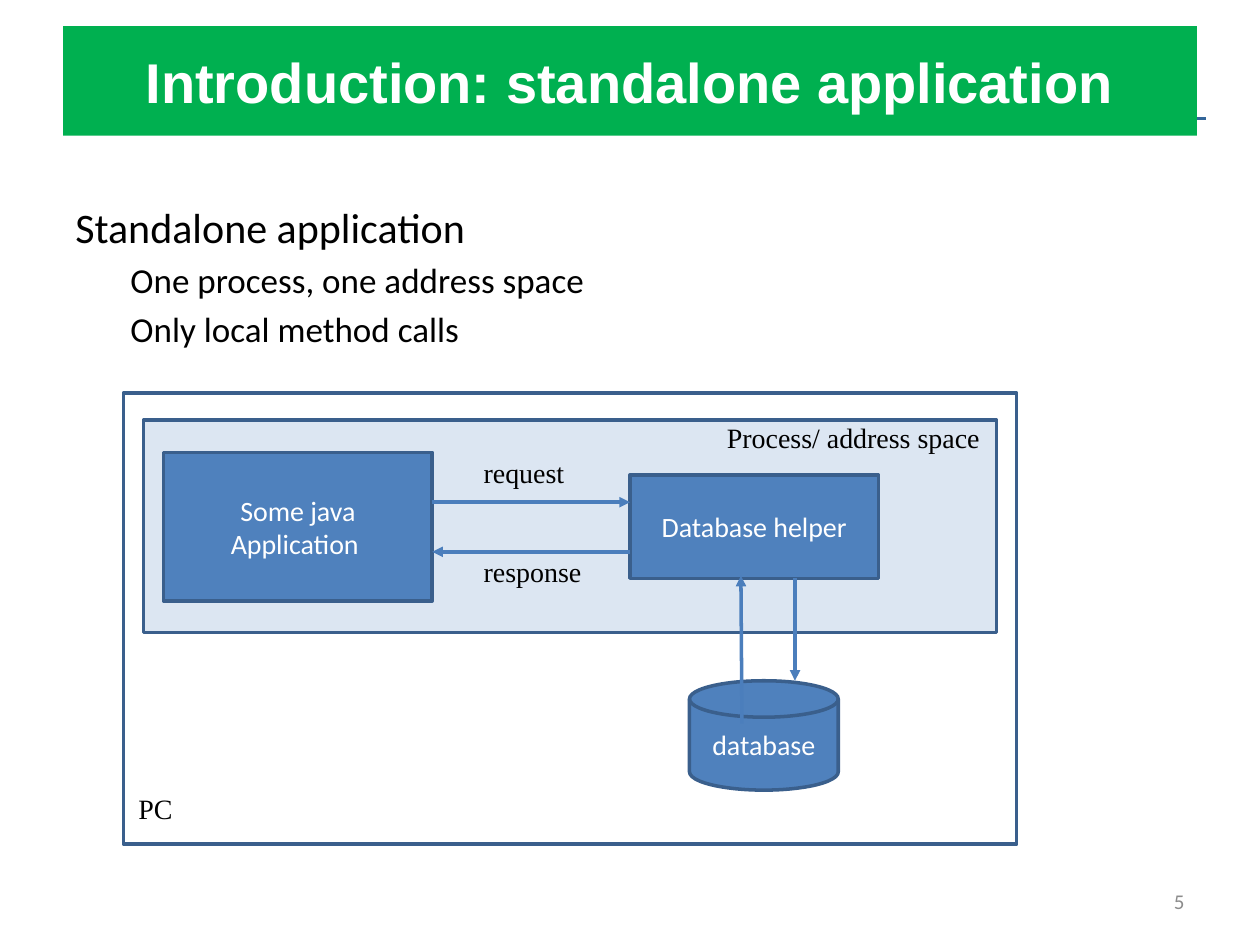
import pptx
import pptx.util
import pptx.dml.color
import pptx.enum.shapes
import pptx.enum.text
import lxml.etree

Pt = pptx.util.Pt
SHAPE = pptx.enum.shapes.MSO_SHAPE
ALIGN = pptx.enum.text.PP_ALIGN
ANCHOR = pptx.enum.text.MSO_ANCHOR
FIT = pptx.enum.text.MSO_AUTO_SIZE

COLORS = {
    "banner": "00B050",
    "rule": "336699",
    "process": "DCE6F2",
    "component": "4F81BD",
    "outline": "3A5F8C",
    "arrow": "4B7EBC",
    "white": "FFFFFF",
    "black": "000000",
    "number": "8C8C8C",
}


def rgb(name):
    """Return the named colour as an RGBColor."""
    return pptx.dml.color.RGBColor.from_string(COLORS[name])


def write(frame, lines, font="Calibri", size=16, color="black", bold=False,
          align=ALIGN.LEFT, anchor=ANCHOR.TOP, wrap=True):
    """Fill a text frame with one formatted paragraph per line."""
    frame.word_wrap = wrap
    frame.auto_size = FIT.NONE if wrap else FIT.SHAPE_TO_FIT_TEXT
    frame.vertical_anchor = anchor
    for index, line in enumerate(lines):
        paragraph = frame.paragraphs[0] if index == 0 else frame.add_paragraph()
        paragraph.alignment = align
        run = paragraph.add_run()
        run.text = line
        run.font.name = font
        run.font.size = Pt(size)
        run.font.bold = bold
        run.font.color.rgb = rgb(color)


def add_text(slide, box, lines, **style):
    """Add a text box and return its text frame."""
    frame = slide.shapes.add_textbox(*map(Pt, box)).text_frame
    write(frame, lines, **style)
    return frame


def add_label(slide, box, text):
    """Add a one-line diagram label."""
    add_text(slide, box, [text], font="Times New Roman", wrap=False)


def add_block(slide, box, fill=None, lines=(), kind=SHAPE.RECTANGLE):
    """Add an outlined diagram block with centred white text."""
    block = slide.shapes.add_shape(kind, *map(Pt, box))
    block.shadow.inherit = False
    if fill:
        block.fill.solid()
        block.fill.fore_color.rgb = rgb(fill)
    else:
        block.fill.background()
    block.line.color.rgb = rgb("outline")
    block.line.width = Pt(2)
    write(block.text_frame, lines, color="white", align=ALIGN.CENTER,
          anchor=ANCHOR.MIDDLE)


def add_line(slide, start, end, color="arrow", width=2, arrow=True):
    """Add a straight line, with an arrowhead at its end if wanted."""
    line = slide.shapes.add_connector(
        pptx.enum.shapes.MSO_CONNECTOR.STRAIGHT, *map(Pt, start + end))
    line.line.color.rgb = rgb(color)
    line.line.width = Pt(width)
    namespace = "{http://schemas.openxmlformats.org/drawingml/2006/main}"
    properties = line.element.spPr
    if arrow:
        outline = properties.find(namespace + "ln")
        lxml.etree.SubElement(outline, namespace + "tailEnd", type="triangle")
    lxml.etree.SubElement(properties, namespace + "effectLst")


def add_title(slide, box, text):
    """Place the title as a green banner in front of what is drawn so far."""
    title = slide.shapes.title
    title.left, title.top, title.width, title.height = map(Pt, box)
    title.fill.solid()
    title.fill.fore_color.rgb = rgb("banner")
    write(title.text_frame, [text], font="Arial", size=32, color="white",
          bold=True, align=ALIGN.CENTER, anchor=ANCHOR.MIDDLE)
    title.element.getparent().append(title.element)


def add_outline(slide, box, heading, points):
    """Add the heading with its indented points."""
    frame = add_text(slide, box, [heading] + points, size=20)
    for paragraph in frame.paragraphs:
        paragraph.space_before = Pt(4)
    frame.paragraphs[0].space_before = Pt(4.8)
    frame.paragraphs[0].runs[0].font.size = Pt(24)
    for paragraph in frame.paragraphs[1:]:
        paragraph.level = 1
        properties = paragraph.runs[0].font._element.getparent().getparent().get_or_add_pPr()
        properties.set("marL", str(Pt(31.5)))
        properties.set("indent", "0")


def add_diagram(slide):
    """Draw the PC with its components, calls and labels."""
    add_block(slide, (70.5, 224.6, 510.5, 257.8))
    add_block(slide, (93.5, 258.5, 153.5, 85), "component",
              ["Some java", "Application "])
    add_block(slide, (360, 271.5, 142, 59), "component", ["Database helper"])
    add_block(slide, (394, 389, 85, 62.5), "component", ["database"],
              SHAPE.FLOWCHART_MAGNETIC_DISK)

    application_right, helper_left = 247, 360
    add_line(slide, (application_right, 287), (helper_left, 287))
    add_line(slide, (helper_left, 315.3), (application_right, 315.3))
    add_label(slide, (269.3, 257, 61, 26.6), "request")
    add_label(slide, (269.3, 313.4, 71.5, 26.6), "response")

    add_line(slide, (454.3, 330.5), (454.3, 389))
    add_line(slide, (424, 413.5), (423.4, 329))
    add_label(slide, (408.3, 237, 161.5, 26.6), "Process/ address space")
    add_label(slide, (72, 448.5, 34.5, 26.6), "PC")


def main():
    """Build and save the slide."""
    presentation = pptx.Presentation()
    presentation.slide_width, presentation.slide_height = Pt(720), Pt(540)
    slide = presentation.slides.add_slide(presentation.slide_layouts[5])
    add_line(slide, (36, 67.7), (689, 67.7), "rule", 1.5, arrow=False)
    add_block(slide, (82, 240, 487.5, 121.5), "process")
    add_title(slide, (36, 15, 648, 62.5), "Introduction: standalone application")
    add_outline(slide, (36, 111.6, 648, 371), "Standalone application",
                ["One process, one address space", "Only local method calls"])
    add_text(slide, (516, 500.5, 168, 28.75), ["5"], size=12, color="number",
             align=ALIGN.RIGHT, anchor=ANCHOR.MIDDLE)
    add_diagram(slide)
    presentation.save("out.pptx")


if __name__ == "__main__":
    main()
